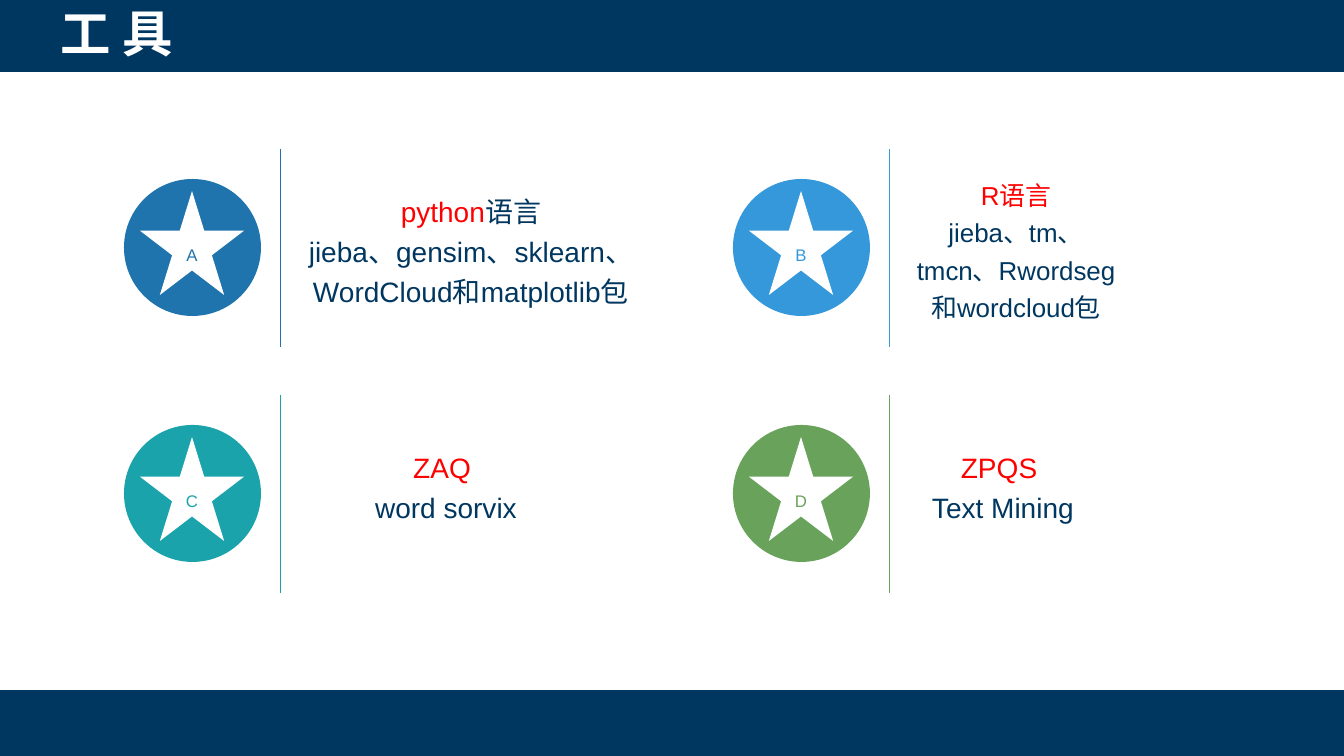
from lxml.etree import SubElement
from pptx import Presentation
from pptx.dml.color import RGBColor
from pptx.enum.shapes import MSO_CONNECTOR as Connector, MSO_SHAPE as Shape
from pptx.enum.text import MSO_ANCHOR as Anchor, PP_ALIGN as Align
from pptx.oxml.ns import qn
from pptx.util import Pt

PX = 914400 / 100.8
NAVY, RED, WHITE = "003760", "FF0000", "FFFFFF"


def color(value):
    return RGBColor.from_string(value)


def add_solid(kind, left, top, width, height, fill):
    shape = page.shapes.add_shape(kind, *(round(n * PX) for n in (left, top, width, height)))
    shape.shadow.inherit = False
    shape.fill.solid()
    shape.fill.fore_color.rgb = color(fill)
    shape.line.fill.background()
    return shape


deck = Presentation()
deck.slide_width = round(1344 * PX)
deck.slide_height = round(756 * PX)
page = deck.slides.add_slide(deck.slide_layouts[6])

add_solid(Shape.RECTANGLE, 0, 0, 1344, 72, NAVY)
add_solid(Shape.RECTANGLE, 0, 690, 1344, 66, NAVY)

title = page.shapes.add_textbox(*(round(n * PX) for n in (10, -3, 214, 72)))
title.text_frame.word_wrap = True
para = title.text_frame.paragraphs[0]
para.text = "工 具"
para.alignment = Align.CENTER
para.font.name = "Arial"
para.font.size = Pt(36)
para.font.bold = True
para.font.color.rgb = color(WHITE)

tools = [
    ("A", "1F74AD", 294, 354, 20, 5,
     [[("python", RED), ("语言", NAVY)],
      [("jieba、gensim、sklearn、WordCloud和matplotlib包", NAVY)]]),
    ("B", "3498DB", 903, 226, 18.5, 5,
     [[("R语言", RED)], [("jieba、tm、tmcn、Rwordseg和wordcloud包", NAVY)]]),
    ("C", "1AA3AA", 346, 200, 20, 25,
     [[("ZAQ ", RED)], [("word sorvix", NAVY)]]),
    ("D", "69A35B", 903, 200, 20, 25,
     [[("ZPQS ", RED)], [("Text Mining", NAVY)]]),
]

for index, (letter, accent, text_left, text_width, size, bottom, lines) in enumerate(tools):
    row, column = divmod(index, 2)
    left, top = 124 + 609 * column, 149 + 246 * row

    add_solid(Shape.OVAL, left, top + 30, 137, 137, accent)
    star = add_solid(Shape.STAR_5_POINT, left + 16, top + 42, 104, 104, WHITE)
    star.text_frame.vertical_anchor = Anchor.MIDDLE
    para = star.text_frame.paragraphs[0]
    para.alignment = Align.CENTER
    para.line_spacing = 1.4
    para.font.name = "Arial"
    para.font.size = Pt(12)
    span = para.add_run()
    span.text = letter
    span.font.color.rgb = color(accent)

    divider = page.shapes.add_connector(
        Connector.STRAIGHT, *(round(n * PX) for n in (left + 156, top, left + 156, top + 198)))
    divider.line.color.rgb = color(accent)
    divider.line.width = Pt(0.5)
    SubElement(divider._element.spPr, qn("a:effectLst"))

    box = page.shapes.add_textbox(
        *(round(n * PX) for n in (text_left, top + 9, text_width, 180)))
    frame = box.text_frame
    frame.word_wrap = True
    frame.vertical_anchor = Anchor.MIDDLE
    frame.margin_bottom = round(bottom * PX)
    for number, line in enumerate(lines):
        para = frame.add_paragraph() if number else frame.paragraphs[0]
        para.alignment = Align.CENTER
        para.line_spacing = 1.2
        para.font.name = "Arial"
        para.font.size = Pt(size)
        for text, tint in line:
            span = para.add_run()
            span.text = text
            span.font.color.rgb = color(tint)

deck.save("out.pptx")
